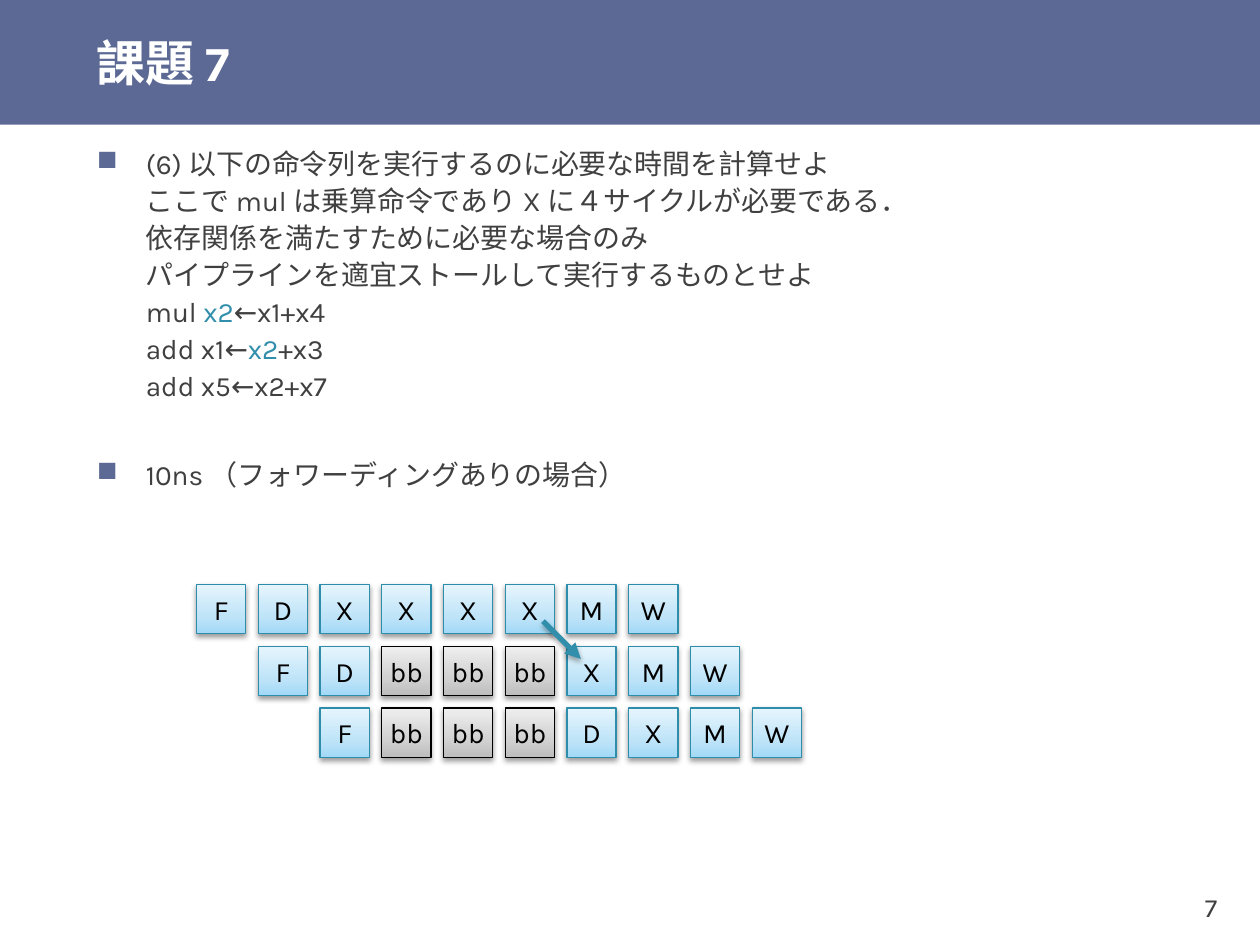
import copy

import pptx
import pptx.dml.color
import pptx.enum.shapes
import pptx.enum.text
import pptx.oxml
import pptx.oxml.ns
import pptx.util

Inches, Pt = pptx.util.Inches, pptx.util.Pt
ALIGN, ANCHOR = pptx.enum.text.PP_ALIGN, pptx.enum.text.MSO_ANCHOR
SHAPE = pptx.enum.shapes.MSO_SHAPE
FONT = "Karla"
BAND, GRAY, TEAL = "5C6994", "404040", "328FAC"

# Content: each bullet is a list of (text, colour)
TITLE = "課題 7"
PAGE = "7"
BULLETS = [
    [("(6) 以下の命令列を実行するのに必要な時間を計算せよ\n"
      "ここで mul は乗算命令であり X に４サイクルが必要である．\n"
      "依存関係を満たすために必要な場合のみ\n"
      "パイプラインを適宜ストールして実行するものとせよ\n"
      "mul ", GRAY),
     ("x2", TEAL), ("←x1+x4\nadd x1←", GRAY),
     ("x2", TEAL), ("+x3\nadd x5←x2+x7", GRAY)],
    [("10ns （フォワーディングありの場合）", GRAY)],
]
# Pipeline stages; each instruction starts one cycle after the previous one
PIPELINE = [
    "F D X X X X M W".split(),
    "F D bb bb bb X M W".split(),
    "F bb bb bb D X M W".split(),
]
# Gradient stops from bottom to top, then the outline
STAGE = (("A2D9F7", "BFE4F8", "E6F5FD"), "2E8DAB")
BUBBLE = (("BDBDBD", "D1D1D1", "EEEEEE"), "000000")
STOPS = (0, 35, 100)
GRID_LEFT, GRID_TOP, PITCH, CELL = 1.56, 4.64, 0.492, 0.39
PITCH = round(PITCH, 2)


def rgb(value):
    return pptx.dml.color.RGBColor.from_string(value)


def xml(tag, body):
    return pptx.oxml.parse_xml(
        f'<a:{tag} {pptx.oxml.ns.nsdecls("a")}{body}</a:{tag.split()[0]}>')


def style(r, size, color, bold=False):
    r.font.name, r.font.size, r.font.bold = FONT, Pt(size), bold
    r.font.color.rgb = rgb(color)


def add_text(slide, at, text, size, color, bold=False, align=ALIGN.LEFT, wrap=True):
    tf = slide.shapes.add_textbox(*map(Inches, at)).text_frame
    tf.word_wrap, tf.vertical_anchor = wrap, ANCHOR.MIDDLE
    tf.margin_top = tf.margin_bottom = 0
    p = tf.paragraphs[0]
    p.text, p.alignment = text, align
    style(p.runs[0], size, color, bold)
    return tf


def add_shadow(sp, alpha, distance):
    effects = xml("effectLst", (
        f'><a:outerShdw blurRad="{Pt(3.1)}" dist="{Pt(distance)}" dir="5400000" '
        f'rotWithShape="0"><a:srgbClr val="000000"><a:alpha val="{alpha * 1000}"/>'
        '</a:srgbClr></a:outerShdw>'))
    sp._element.spPr.append(effects)


def add_bullet(p, segments):
    pPr = p._p.get_or_add_pPr()
    pPr.set("marL", str(Inches(0.39)))
    pPr.set("indent", str(-Inches(0.39)))
    pPr.append(xml("buClr", f'><a:srgbClr val="{BAND}"/>'))
    pPr.append(xml("buChar", ' char="■">'))
    p.line_spacing, p.space_after = 1.1, Pt(6)
    for text, color in segments:
        for i, line in enumerate(text.split("\n")):
            if i:
                p.add_line_break()
                p._p[-1].append(copy.deepcopy(r._r.rPr))
            r = p.add_run()
            r.text = line
            style(r, 16, color)


def add_stage(slide, row, cycle, label):
    colors, outline = BUBBLE if label == "bb" else STAGE
    sp = slide.shapes.add_shape(
        SHAPE.RECTANGLE, Inches(GRID_LEFT + cycle * PITCH),
        Inches(GRID_TOP + row * PITCH), Inches(CELL), Inches(CELL))
    stops = "".join(f'<a:gs pos="{pos * 1000}"><a:srgbClr val="{c}"/></a:gs>'
                    for pos, c in zip(STOPS, colors))
    sp._element.spPr.append(xml("gradFill", (
        f'><a:gsLst>{stops}</a:gsLst><a:lin ang="16200000" scaled="0"/>')))
    sp.line.color.rgb, sp.line.width = rgb(outline), Pt(0.75)
    add_shadow(sp, 38, 1.6)
    tf = sp.text_frame
    tf.word_wrap, tf.vertical_anchor = False, ANCHOR.MIDDLE
    p = tf.paragraphs[0]
    p.text, p.alignment = label, ALIGN.CENTER
    style(p.runs[0], 16, "000000")


def main():
    prs = pptx.Presentation()
    prs.slide_width, prs.slide_height = Inches(10), Inches(7.5)
    slide = prs.slides.add_slide(prs.slide_layouts[6])

    # Title band and page number
    band = slide.shapes.add_shape(SHAPE.RECTANGLE, 0, 0, Inches(10), Inches(0.99))
    band.shadow.inherit = False
    band.fill.solid()
    band.fill.fore_color.rgb = rgb(BAND)
    band.line.fill.background()
    add_text(slide, (0.67, 0, 9.33, 0.99), TITLE, 28, "FFFFFF", bold=True)
    tf = add_text(slide, (8.94, 6.9, 0.79, 0.6), PAGE, 15, GRAY,
                  align=ALIGN.RIGHT, wrap=False)
    tf.margin_left = tf.margin_right = Inches(0.07)

    # Bulleted question and answer
    tf = slide.shapes.add_textbox(*map(Inches, (0.67, 1.09, 8.66, 2.76))).text_frame
    tf.word_wrap = True
    for i, segments in enumerate(BULLETS):
        p = tf.add_paragraph() if i else tf.paragraphs[0]
        add_bullet(p, segments)
        if i:
            p.space_before = Pt(24)

    # Pipeline diagram
    for row, stages in enumerate(PIPELINE):
        for step, label in enumerate(stages):
            add_stage(slide, row, row + step, label)

    # Forwarding arrow
    arrow = slide.shapes.add_connector(
        pptx.enum.shapes.MSO_CONNECTOR.STRAIGHT,
        *map(Inches, (4.31, 4.93, 4.61, 5.23)))
    arrow.line.color.rgb, arrow.line.width = rgb(TEAL), Pt(3)
    arrow.line._get_or_add_ln().append(xml("tailEnd", ' type="triangle">'))
    add_shadow(arrow, 35, 1.8)

    prs.save("out.pptx")


if __name__ == "__main__":
    main()
